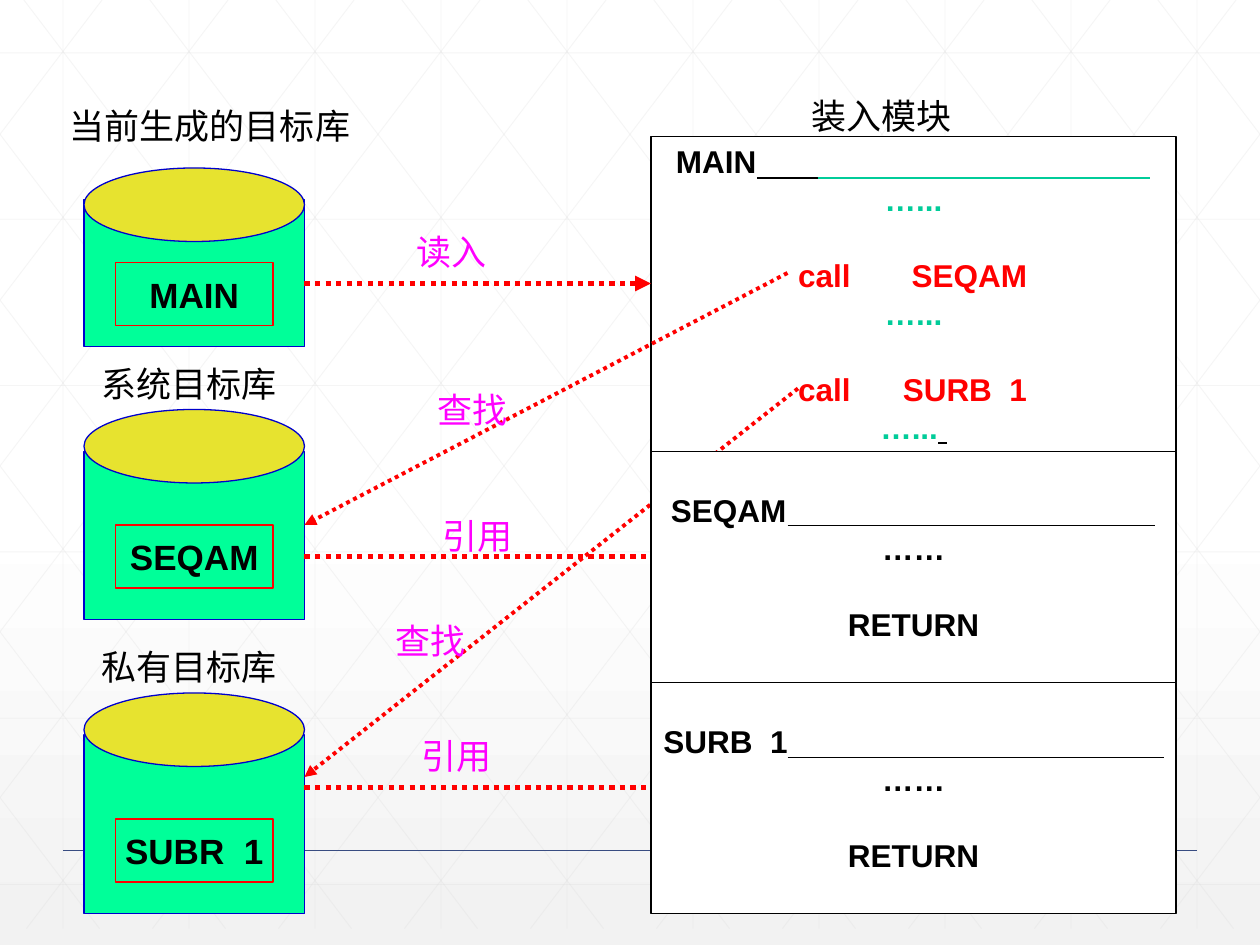
from lxml import etree
from pptx import Presentation
from pptx import util as u
from pptx.dml.color import RGBColor
from pptx.enum import dml, shapes, text
from pptx.oxml.ns import qn

BLACK = RGBColor(0, 0, 0)
WHITE = RGBColor(255, 255, 255)
RED = RGBColor(255, 0, 0)
GREEN = RGBColor(0, 255, 153)
TEAL = RGBColor(0, 204, 153)
YELLOW = RGBColor(231, 227, 47)
BLUE = RGBColor(0, 0, 204)
NAVY = RGBColor(56, 76, 129)
PINK = RGBColor(255, 0, 255)
GRID = RGBColor(217, 217, 217)
PALE = RGBColor(242, 242, 242)

W, H = 10, 7.5
UNIT = 1 / 12
GRID_H, SLANT, PITCH = 7.37, 5.6, 1.32
LIB_X, LIB_W, LID_H = 8, 21, 7
MOD_X, MOD_W = 62, 50
LINK_X = LIB_X + LIB_W
GAP = 22

LIBRARIES = [
    {"title": "当前生成的目标库", "title_at": (5, 8, 30, 8), "lid": 16, "body": 19, "bottom": 33, "name": "MAIN", "name_y": 25},
    {"title": "系统目标库", "title_at": (9, 33, 18, 7), "lid": 39, "body": 43, "bottom": 59, "name": "SEQAM", "name_y": 50},
    {"title": "私有目标库", "title_at": (9, 60, 18, 7), "lid": 66, "body": 70, "bottom": 87, "name": "SUBR  1", "name_y": 78},
]
LINKS = [
    ((LINK_X, 27), (MOD_X, 27), 3),
    ((75, 26), (LINK_X, 50), 2.25),
    ((LINK_X, 53), (64, 53), 3),
    ((76, 37), (LINK_X, 74), 2.25),
    ((LINK_X, 75), (64, 75), 3),
]
LABELS = [
    ("读入", (38, 21, 10, 6), PINK),
    ("查找", (40, 36, 10, 6), PINK),
    ("引用", (40, 48, 11, 6), PINK),
    ("查找", (36, 58, 10, 6), PINK),
    ("引用", (38, 69, 11, 6), PINK),
    ("装入模块", (75, 8, 18, 6), BLACK),
]
MAIN_LINES = [
    ("MAIN", BLACK, 0, [0.1]),
    ("…...", TEAL, 0, None),
    ("\tcall\tSEQAM", RED, GAP, [1.07, 1.97]),
    ("…...", TEAL, 0, None),
    ("\tcall\tSURB  1", RED, GAP, [1.07, 1.9]),
    ("…...", TEAL, 0, None),
]
RETURN_LINES = [("……", BLACK, 0, None), ("RETURN", BLACK, GAP, None)]
SUB_MODULES = [
    (43, [("SEQAM", BLACK, 0, [0.06])] + RETURN_LINES, 4.17, 9.17),
    (65, [("SURB  1", BLACK, 0, [0])] + RETURN_LINES, 6.01, 9.24),
]


def grid(*cells):
    return [c * UNIT for c in cells]


def add_line(s, start, end, color, width):
    c = s.shapes.add_connector(shapes.MSO_CONNECTOR.STRAIGHT, *map(u.Inches, (*start, *end)))
    c.line.color.rgb = color
    c.line.width = u.Pt(width)
    etree.SubElement(c._element.spPr, qn("a:effectLst"))
    return c


def add_shape(s, kind, at, fill, line):
    sp = s.shapes.add_shape(kind, *map(u.Inches, grid(*at)))
    sp.shadow.inherit = False
    if fill is None:
        sp.fill.background()
    else:
        sp.fill.solid()
        sp.fill.fore_color.rgb = fill
    sp.line.color.rgb = line
    sp.line.width = u.Pt(0.75)
    return sp


def style(r, size, color, bold):
    r.font.name, r.font.size, r.font.bold = "Arial", u.Pt(size), bold
    r.font.color.rgb = color


def set_label(sp, words, color, bold=False):
    tf = sp.text_frame
    tf.text = words
    tf.word_wrap = False
    tf.margin_left = tf.margin_right = 0
    tf.vertical_anchor = text.MSO_ANCHOR.MIDDLE
    p = tf.paragraphs[0]
    p.alignment = text.PP_ALIGN.CENTER
    style(p.runs[0], 20, color, bold)


def add_label(s, words, at, color):
    set_label(s.shapes.add_textbox(*map(u.Inches, grid(*at))), words, color)


def add_module(s, top, height, lines):
    sp = add_shape(s, shapes.MSO_SHAPE.RECTANGLE, (MOD_X, top, MOD_W, height), WHITE, BLACK)
    tf = sp.text_frame
    tf.word_wrap = True
    tf.vertical_anchor = text.MSO_ANCHOR.MIDDLE
    for i, (words, color, gap, stops) in enumerate(lines):
        p = tf.add_paragraph() if i else tf.paragraphs[0]
        p.text = words
        p.alignment = text.PP_ALIGN.CENTER if stops is None else text.PP_ALIGN.LEFT
        if gap:
            p.space_before = u.Pt(gap)
        pPr = p._p.get_or_add_pPr()
        if "\t" in words:
            tabs = etree.SubElement(pPr, qn("a:tabLst"))
            for stop in stops:
                etree.SubElement(tabs, qn("a:tab"), pos=str(u.Inches(stop)), algn="l")
        elif stops:
            pPr.set("marL", str(u.Inches(stops[0])))
        style(p.runs[0], 18, color, True)
    return tf


def add_background(s):
    fill = s.background.fill
    fill.gradient()
    fill.gradient_angle = 270
    for stop, (pos, color) in zip(fill.gradient_stops, [(0.53, WHITE), (1, PALE)]):
        stop.position = pos
        stop.color.rgb = color
    lines = [((i + 0.5, 0), (i + 0.5, GRID_H)) for i in range(10)]
    lines += [((0, 0.42 + PITCH * i), (W, 0.42 + PITCH * i)) for i in range(6)]
    for k in range(-5, 10):
        x = k + 0.19
        x1, x2 = max(x, 0), min(x + SLANT, W)
        y1, y2 = [(edge - x) * GRID_H / SLANT for edge in (x1, x2)]
        lines += [((x1, y1), (x2, y2)), ((W - x1, y1), (W - x2, y2))]
    for start, end in lines:
        c = add_line(s, start, end, GRID, 0.5)
        clr = c.line._ln.find(".//" + qn("a:srgbClr"))
        etree.SubElement(clr, qn("a:alpha"), val="25000")
    add_line(s, (0.05 * W, 0.9 * H), (0.95 * W, 0.9 * H), NAVY, 1)


def main():
    prs = Presentation()
    prs.slide_width, prs.slide_height = u.Inches(W), u.Inches(H)
    s = prs.slides.add_slide(prs.slide_layouts[6])
    add_background(s)

    rect, oval = shapes.MSO_SHAPE.RECTANGLE, shapes.MSO_SHAPE.OVAL
    for lib in LIBRARIES:
        add_shape(s, rect, (LIB_X, lib["body"], LIB_W, lib["bottom"] - lib["body"]), GREEN, BLUE)
        add_shape(s, oval, (LIB_X, lib["lid"], LIB_W, LID_H), YELLOW, BLUE)
        tag = add_shape(s, rect, (LIB_X + 3, lib["name_y"], 15, 6), None, RED)
        set_label(tag, lib["name"], BLACK, True)
        add_label(s, lib["title"], lib["title_at"], BLACK)

    tf = add_module(s, 13, 30, MAIN_LINES)
    r = tf.paragraphs[-1].add_run()
    r.text = " "
    style(r, 18, BLACK, False)
    r.font.underline = True
    add_line(s, (6.01, 1.41), (6.49, 1.41), BLACK, 1)
    add_line(s, (6.49, 1.41), (9.13, 1.41), TEAL, 1)

    for start, end, width in LINKS:
        c = add_line(s, grid(*start), grid(*end), RED, width)
        c.line.dash_style = dml.MSO_LINE.ROUND_DOT
        etree.SubElement(c.line._ln, qn("a:tailEnd"), type="triangle")
    for label in LABELS:
        add_label(s, *label)
    for top, lines, rule_y, rule_end in SUB_MODULES:
        add_module(s, top, 22, lines)
        add_line(s, (6.25, rule_y), (rule_end, rule_y), BLACK, 0.75)

    prs.save("out.pptx")


if __name__ == "__main__":
    main()
